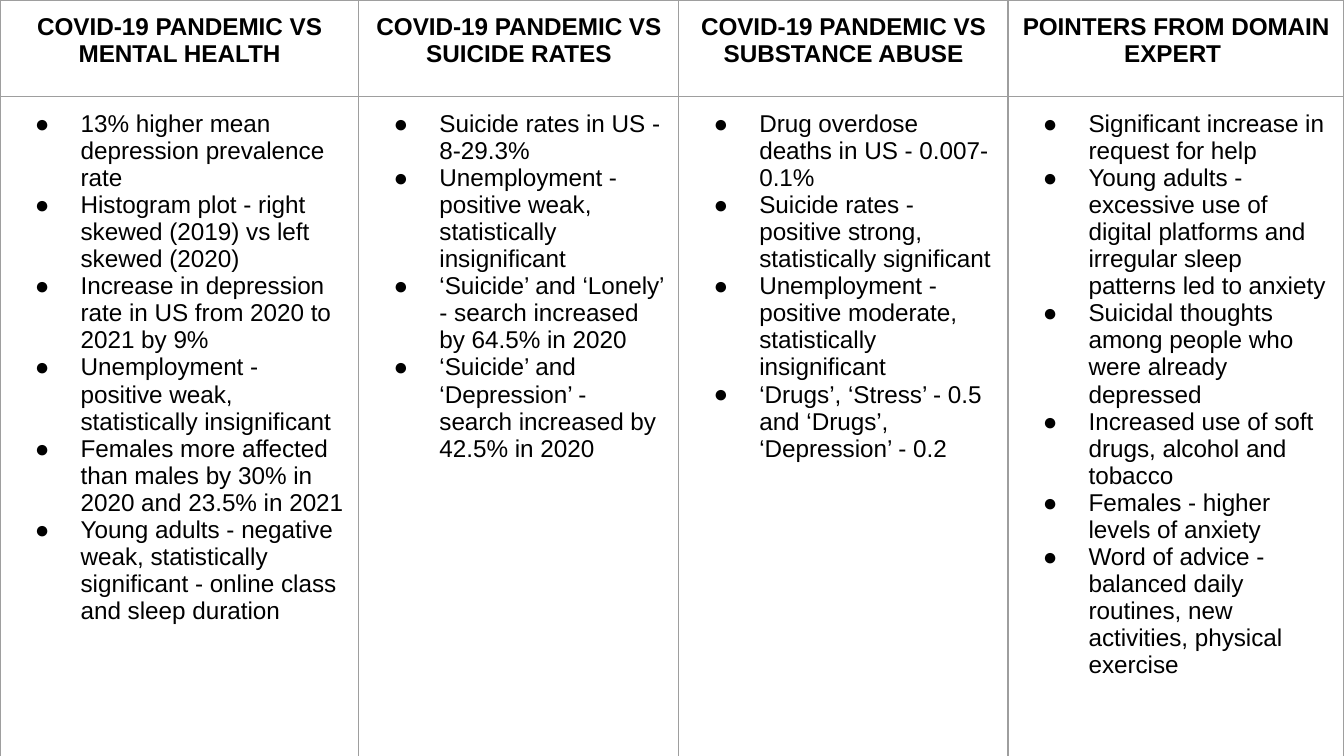
from lxml.etree import SubElement
from pptx import Presentation
from pptx.dml.color import RGBColor
from pptx.enum.text import PP_ALIGN
from pptx.oxml import parse_xml
from pptx.oxml.ns import nsdecls, qn
from pptx.util import Inches, Pt

COLORS = {"text": "000000", "border": "9E9E9E"}
COLUMN_WIDTHS = [2.67, 2.38, 2.45, 2.5]
HEADER_HEIGHT = 0.72
FINDINGS = {
    "COVID-19 PANDEMIC VS MENTAL HEALTH": [
        "13% higher mean depression prevalence rate",
        "Histogram plot - right skewed (2019) vs left skewed (2020)",
        "Increase in depression rate in US from 2020 to 2021 by 9%",
        "Unemployment - positive weak, statistically insignificant",
        "Females more affected than males by 30% in 2020 and 23.5% in 2021",
        "Young adults - negative weak, statistically significant - online class and sleep duration",
    ],
    "COVID-19 PANDEMIC VS SUICIDE RATES": [
        "Suicide rates in US - 8-29.3%",
        "Unemployment - positive weak, statistically insignificant",
        "‘Suicide’ and ‘Lonely’ - search increased by 64.5% in 2020",
        "‘Suicide’ and ‘Depression’ - search increased by 42.5% in 2020",
    ],
    "COVID-19 PANDEMIC VS SUBSTANCE ABUSE": [
        "Drug overdose deaths in US - 0.007-0.1%",
        "Suicide rates - positive strong, statistically significant",
        "Unemployment - positive moderate, statistically insignificant",
        "‘Drugs’, ‘Stress’ - 0.5 and ‘Drugs’, ‘Depression’ - 0.2",
    ],
    "POINTERS FROM DOMAIN EXPERT ": [
        "Significant increase in request for help",
        "Young adults - excessive use of digital platforms and irregular sleep patterns led to anxiety",
        "Suicidal thoughts among people who were already depressed",
        "Increased use of soft drugs, alcohol and tobacco",
        "Females - higher levels of anxiety",
        "Word of advice - balanced daily routines, new activities, physical exercise",
    ],
}


def format_cell(cell):
    """Give a cell even margins, no fill and thin borders on all sides."""
    cell.margin_left = cell.margin_right = Inches(0.1)
    cell.margin_top = cell.margin_bottom = Inches(0.1)
    cell.fill.background()
    tcPr = cell._tc.get_or_add_tcPr()
    for i, side in enumerate(("lnL", "lnR", "lnT", "lnB")):
        tcPr.insert(i, parse_xml(
            f'<a:{side} {nsdecls("a")} w="{Pt(0.75)}"><a:solidFill>'
            f'<a:srgbClr val="{COLORS["border"]}"/></a:solidFill></a:{side}>'))


def add_bullet(p):
    """Put a round bullet with a hanging indent on a paragraph."""
    pPr = p._p.get_or_add_pPr()
    pPr.set("marL", str(Inches(0.5)))
    pPr.set("indent", str(Inches(-0.34)))
    color = SubElement(pPr, qn("a:buClr"))
    SubElement(color, qn("a:srgbClr"), val=COLORS["text"])
    SubElement(pPr, qn("a:buFont"), typeface="Arial")
    SubElement(pPr, qn("a:buChar"), char="●")


def fill_cell(cell, lines, header):
    """Write a centred bold heading or a bulleted list into a cell."""
    format_cell(cell)
    tf = cell.text_frame
    tf.text = "\n".join(lines)
    for p in tf.paragraphs:
        if header:
            p.alignment = PP_ALIGN.CENTER
        else:
            p.alignment = PP_ALIGN.LEFT
            add_bullet(p)
        for r in p.runs:
            r.font.name = "Arial"
            r.font.size = Pt(13)
            r.font.bold = header
            r.font.color.rgb = RGBColor.from_string(COLORS["text"])


def add_findings_table(s, left, top, width, height):
    """Place the findings table in the given box, in inches."""
    frame = s.shapes.add_table(2, len(FINDINGS), Inches(left), Inches(top),
                               Inches(width), Inches(height))
    table = frame.table
    table.first_row = table.horz_banding = False
    table.rows[0].height = Inches(HEADER_HEIGHT)
    table.rows[1].height = Inches(height - HEADER_HEIGHT)
    for i, (heading, points) in enumerate(FINDINGS.items()):
        table.columns[i].width = Inches(width * COLUMN_WIDTHS[i] / sum(COLUMN_WIDTHS))
        fill_cell(table.cell(0, i), [heading], True)
        fill_cell(table.cell(1, i), points, False)


def main():
    """Build the one-slide presentation in 16:9 format."""
    prs = Presentation()
    prs.slide_width = Inches(10)
    prs.slide_height = Inches(10 * 9 / 16)
    s = prs.slides.add_slide(prs.slide_layouts[6])
    add_findings_table(s, 0, 0, 10, 5.63)
    prs.save("out.pptx")


if __name__ == "__main__":
    main()
